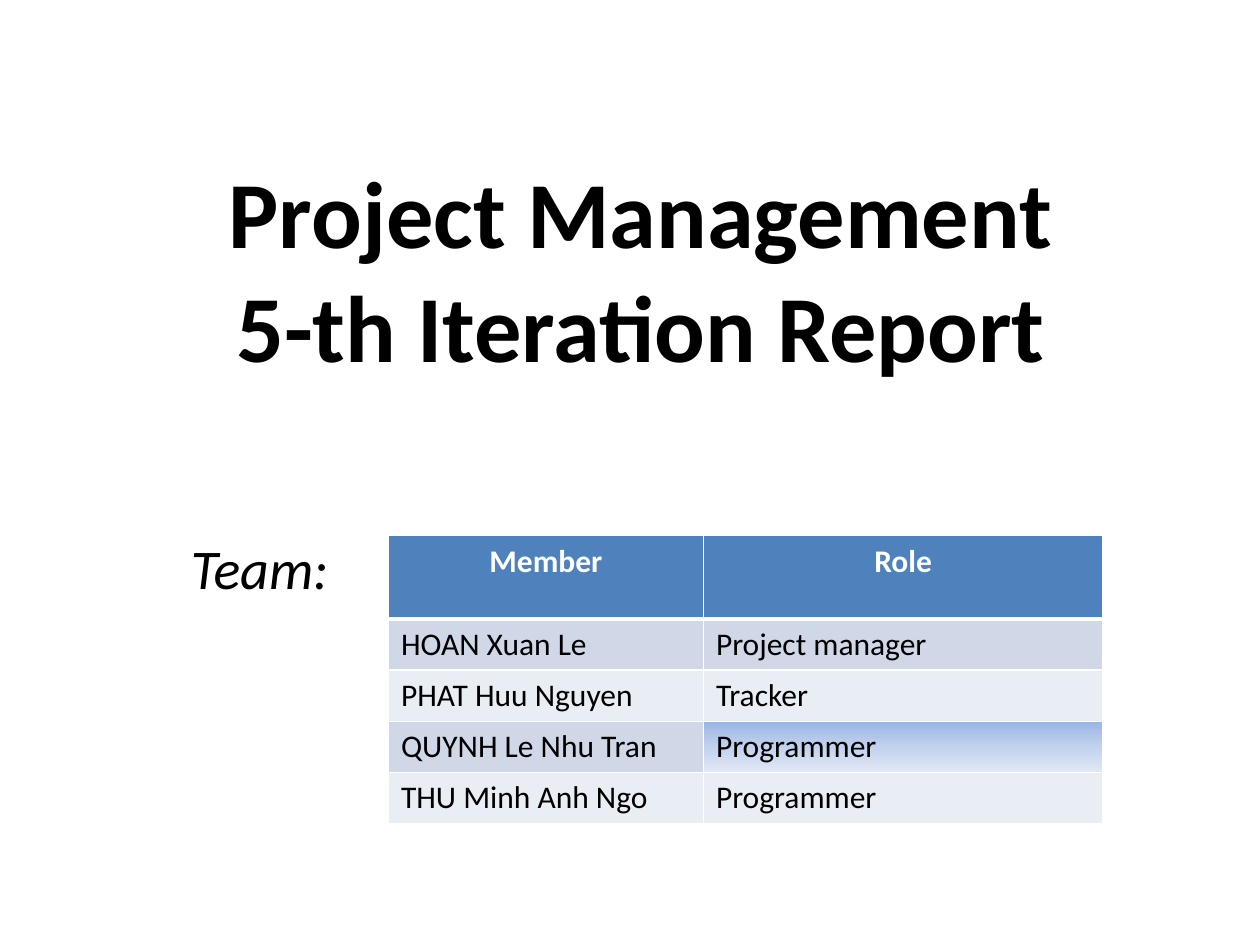
from copy import deepcopy
from dataclasses import dataclass

from lxml import etree
from pptx import Presentation
from pptx.dml.color import RGBColor
from pptx.enum.text import MSO_ANCHOR, PP_ALIGN
from pptx.oxml.ns import qn
from pptx.util import Cm, Pt

CENTER, LEFT = PP_ALIGN.CENTER, PP_ALIGN.LEFT
TOP, MIDDLE = MSO_ANCHOR.TOP, MSO_ANCHOR.MIDDLE
BLANK_LAYOUT = 6


@dataclass(frozen=True)
class Theme:
    font: str = "Calibri"
    title_size: int = 54
    label_size: int = 32
    table_size: int = 18
    text: str = "000000"
    inverse: str = "FFFFFF"
    header: str = "4F81BD"
    bands: tuple[str, ...] = ("D0D8E8", "E9EDF4")
    highlight: tuple[str, ...] = ("9AB5E4", "C2D1ED", "E1E8F5")
    border: float = 1
    header_border: float = 3


@dataclass(frozen=True)
class TextStyle:
    size: int
    color: str
    bold: bool = False
    italic: bool = False
    align: PP_ALIGN = LEFT


@dataclass(frozen=True)
class Box:
    left: float
    top: float
    width: float
    height: float

    def lengths(self) -> tuple[Cm, Cm, Cm, Cm]:
        return Cm(self.left), Cm(self.top), Cm(self.width), Cm(self.height)


@dataclass(frozen=True)
class TeamMember:
    name: str
    role: str
    highlighted: bool = False


THEME = Theme()
TITLE_STYLE = TextStyle(THEME.title_size, THEME.text, bold=True, align=CENTER)
LABEL_STYLE = TextStyle(THEME.label_size, THEME.text, italic=True)
HEADER_STYLE = TextStyle(THEME.table_size, THEME.inverse, bold=True, align=CENTER)
BODY_STYLE = TextStyle(THEME.table_size, THEME.text)

TITLE_BOX = Box(2.12, 1.9, 21.59, 6.99)
LABEL_BOX = Box(3.6, 10.64, 3.6, 1.63)
TABLE_BOX = Box(7.83, 10.8, 14.4, 5.8)
COLUMN_WIDTHS = (6.35, 8.05)
HEADER_HEIGHT, BODY_HEIGHT = 1.68, 1.03

HEADINGS = ("Member", "Role")
TEAM = (
    TeamMember("HOAN Xuan Le", "Project manager"),
    TeamMember("PHAT Huu Nguyen", "Tracker"),
    TeamMember("QUYNH Le Nhu Tran", "Programmer", highlighted=True),
    TeamMember("THU Minh Anh Ngo", "Programmer"),
)


def write_lines(text_frame, lines: tuple[str, ...], style: TextStyle) -> None:
    """Fill the first paragraph, with a line break between lines."""
    paragraph = text_frame.paragraphs[0]
    paragraph.alignment = style.align
    for index, line in enumerate(lines):
        if index:
            paragraph.add_line_break()
        run = paragraph.add_run()
        run.text = line
        font = run.font
        font.name, font.size = THEME.font, Pt(style.size)
        font.bold, font.italic = style.bold, style.italic
        font.color.rgb = RGBColor.from_string(style.color)


def add_text(slide, box: Box, lines: tuple[str, ...], style: TextStyle,
             anchor: MSO_ANCHOR = TOP) -> None:
    text_frame = slide.shapes.add_textbox(*box.lengths()).text_frame
    text_frame.word_wrap = True
    text_frame.vertical_anchor = anchor
    write_lines(text_frame, lines, style)


def fill_solid(cell, color: str) -> None:
    cell.fill.solid()
    cell.fill.fore_color.rgb = RGBColor.from_string(color)


def fill_gradient(cell, colors: tuple[str, ...]) -> None:
    """Fill from top to bottom with evenly spaced colours."""
    fill = cell.fill
    fill.gradient()
    fill.gradient_angle = 270
    stop_list = next(cell._tc.tcPr.iter(qn("a:gsLst")))
    while len(stop_list) < len(colors):
        stop_list.append(deepcopy(stop_list[0]))
    for index, (stop, color) in enumerate(zip(fill.gradient_stops, colors)):
        stop.color.rgb = RGBColor.from_string(color)
        stop.position = index / (len(colors) - 1)


def set_borders(cell, top: float, bottom: float) -> None:
    """Draw the four cell borders; they must come before the fill."""
    widths = {"a:lnL": THEME.border, "a:lnR": THEME.border,
              "a:lnT": top, "a:lnB": bottom}
    properties = cell._tc.get_or_add_tcPr()
    for index, (tag, width) in enumerate(widths.items()):
        line = etree.Element(qn(tag), w=str(Pt(width)))
        solid = etree.SubElement(line, qn("a:solidFill"))
        etree.SubElement(solid, qn("a:srgbClr"), val=THEME.inverse)
        properties.insert(index, line)


def add_team_table(slide) -> None:
    frame = slide.shapes.add_table(len(TEAM) + 1, len(HEADINGS), *TABLE_BOX.lengths())
    table = frame.table
    for column, width in zip(table.columns, COLUMN_WIDTHS):
        column.width = Cm(width)
    for index, row in enumerate(table.rows):
        row.height = Cm(BODY_HEIGHT if index else HEADER_HEIGHT)

    for column, heading in enumerate(HEADINGS):
        cell = table.cell(0, column)
        write_lines(cell.text_frame, (heading,), HEADER_STYLE)
        fill_solid(cell, THEME.header)
        set_borders(cell, THEME.border, THEME.header_border)

    for row_index, member in enumerate(TEAM, start=1):
        band = THEME.bands[(row_index - 1) % len(THEME.bands)]
        top = THEME.header_border if row_index == 1 else THEME.border
        for column, value in enumerate((member.name, member.role)):
            cell = table.cell(row_index, column)
            write_lines(cell.text_frame, (value,), BODY_STYLE)
            fill_solid(cell, band)
            set_borders(cell, top, THEME.border)
        if member.highlighted:
            fill_gradient(table.cell(row_index, 1), THEME.highlight)


def main() -> None:
    presentation = Presentation()
    presentation.slide_width, presentation.slide_height = Cm(25.4), Cm(19.05)
    slide = presentation.slides.add_slide(presentation.slide_layouts[BLANK_LAYOUT])
    add_text(slide, TITLE_BOX, ("Project Management", "5-th Iteration Report"),
             TITLE_STYLE, MIDDLE)
    add_team_table(slide)
    add_text(slide, LABEL_BOX, ("Team:",), LABEL_STYLE)
    presentation.save("out.pptx")


if __name__ == "__main__":
    main()
